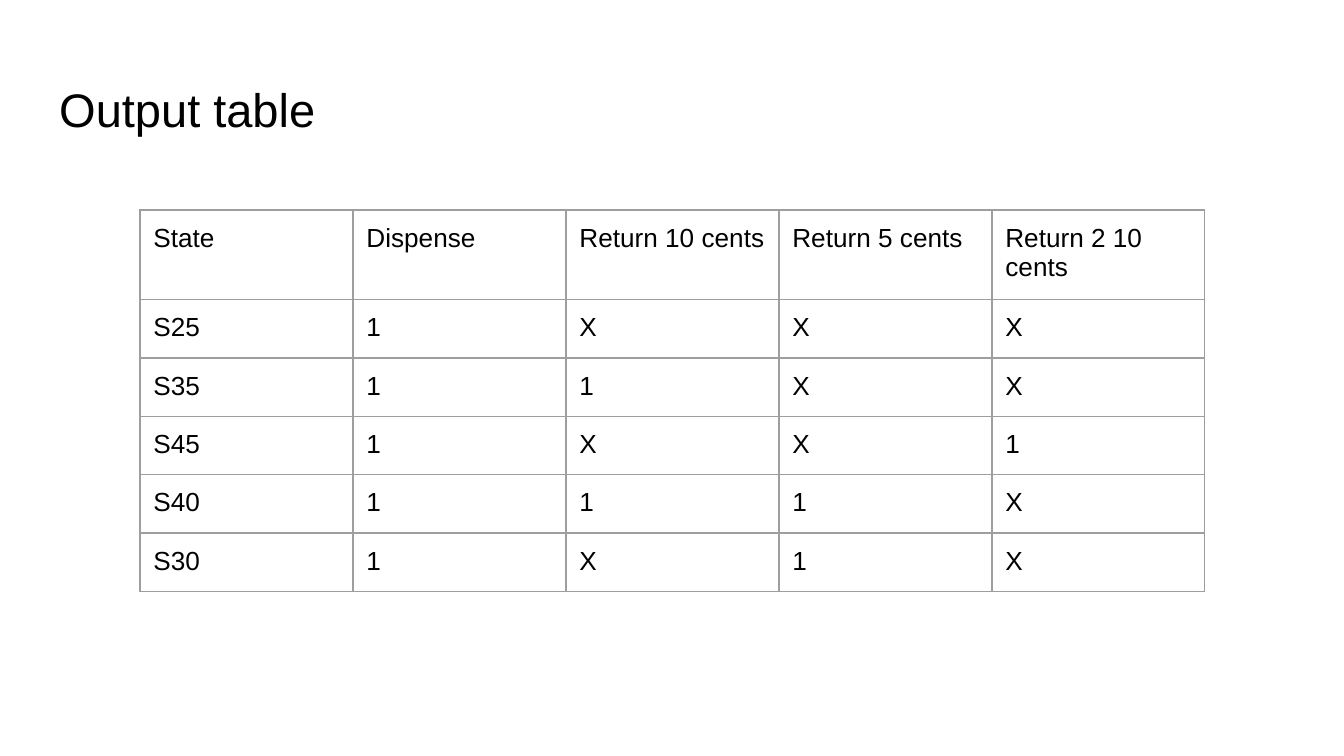
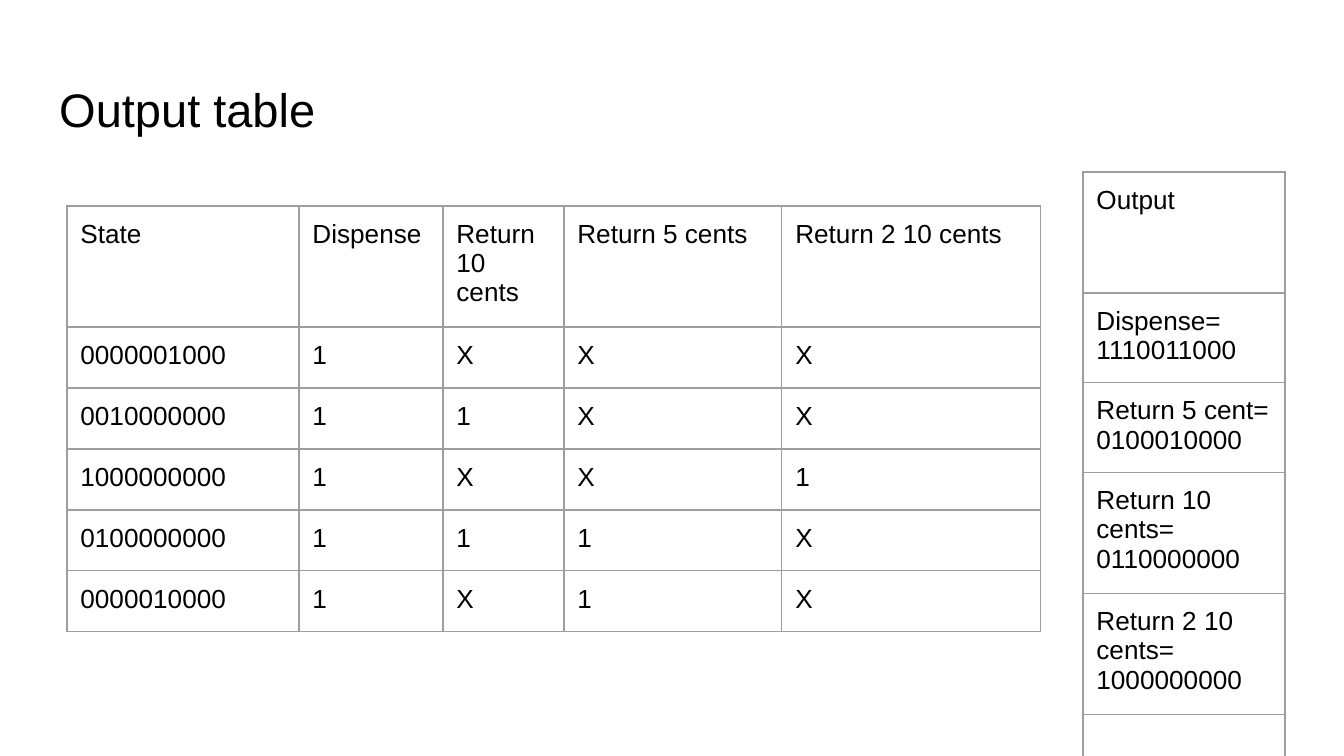
import pptx
import pptx.dml.color
import pptx.enum.text
import pptx.oxml.ns
import pptx.util
from lxml import etree

EMU_PER_PX = 914400 / 134.4
FONT = "Arial"
BLACK = "000000"
GRID_GRAY = "9E9E9E"
INSET = pptx.util.Inches(0.1)
HEADERS = ["State", "Dispense", "Return 10 cents", "Return 5 cents", "Return 2 10 cents"]
# Outputs of each state, in header order
STATE_OUTPUTS = {
    "S25": "1XXX",
    "S35": "11XX",
    "S45": "1XX1",
    "S40": "111X",
    "S30": "1X1X",
}
ONE_HOT_CODES = ["0000001000", "0010000000", "1000000000", "0100000000", "0000010000"]
OUTPUT_MASKS = [
    ["Output"],
    ["Dispense=\n1110011000"],
    ["Return 5 cent=\n0100010000"],
    ["Return 10 cents=\n0110000000"],
    ["Return 2 10 cents=\n1000000000"],
    [""],
]


def px(length):
    return pptx.util.Emu(round(length * EMU_PER_PX))


def color(value):
    return pptx.dml.color.RGBColor.from_string(value)


def style_text(text_frame, size):
    for paragraph in text_frame.paragraphs:
        paragraph.font.name = FONT
        paragraph.font.size = pptx.util.Pt(size)
        paragraph.font.color.rgb = color(BLACK)


def set_insets(holder):
    holder.margin_left = holder.margin_right = INSET
    holder.margin_top = holder.margin_bottom = INSET


def add_titled_slide(presentation, title):
    slide = presentation.slides.add_slide(presentation.slide_layouts[6])
    text_frame = slide.shapes.add_textbox(px(46), px(66), px(1252), px(84)).text_frame
    text_frame.word_wrap = True
    text_frame.vertical_anchor = pptx.enum.text.MSO_ANCHOR.BOTTOM
    set_insets(text_frame)
    text_frame.text = title
    style_text(text_frame, 25.2)
    return slide


def add_borders(cell):
    qualified = pptx.oxml.ns.qn
    properties = cell._tc.get_or_add_tcPr()
    for side in ("lnL", "lnR", "lnT", "lnB"):
        line = etree.SubElement(properties, qualified(f"a:{side}"), w=str(pptx.util.Pt(0.75)))
        fill = etree.SubElement(line, qualified("a:solidFill"))
        etree.SubElement(fill, qualified("a:srgbClr"), val=GRID_GRAY)


def add_grid(slide, left, top, widths, heights, rows):
    table = slide.shapes.add_table(
        len(rows), len(widths), px(left), px(top), px(sum(widths)), px(sum(heights))
    ).table
    table.first_row = table.horz_banding = False
    for column, width in zip(table.columns, widths):
        column.width = px(width)
    for row, height, texts in zip(table.rows, heights, rows):
        row.height = px(height)
        for cell, text in zip(row.cells, texts):
            cell.text = text
            style_text(cell.text_frame, 14)
            set_insets(cell)
            add_borders(cell)
            cell.fill.background()


def output_rows(states):
    return [HEADERS] + [
        [state, *outputs] for state, outputs in zip(states, STATE_OUTPUTS.values())
    ]


def main():
    presentation = pptx.Presentation()
    presentation.slide_width = px(1344)
    presentation.slide_height = px(756)

    # Outputs by state name
    slide = add_titled_slide(presentation, "Output table")
    add_grid(slide, 140, 210, [213] * 5, [56] * 6, output_rows(STATE_OUTPUTS))

    # Outputs by one-hot code, with the mask of each output
    slide = add_titled_slide(presentation, "Output table")
    add_grid(slide, 67, 206, [232, 144, 121, 218, 259], [94] + [61] * 5,
             output_rows(ONE_HOT_CODES))
    add_grid(slide, 1083, 172, [202], [121] + [61] * 5, OUTPUT_MASKS)

    presentation.save("out.pptx")


if __name__ == "__main__":
    main()
